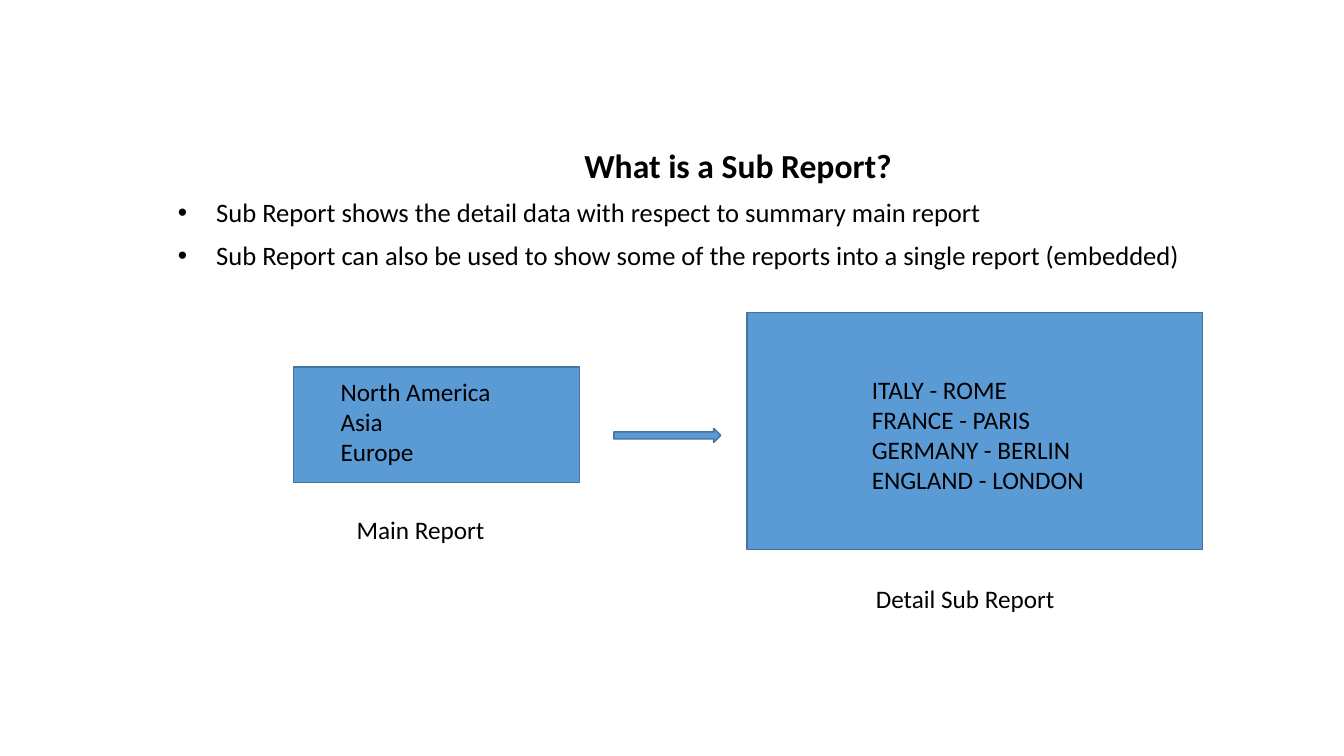
from pptx import Presentation
from pptx.dml.color import RGBColor as RGB
from pptx.enum.shapes import MSO_SHAPE as SHAPE
from pptx.enum.text import PP_ALIGN as ALIGN
from pptx.oxml import parse_xml
from pptx.oxml.ns import nsdecls
from pptx.util import Inches, Pt

COLORS = {"text": "000000", "fill": "5B9BD5", "line": "43739E"}

prs = Presentation()
prs.slide_width, prs.slide_height = Inches(13.33), Inches(7.5)
s = prs.slides.add_slide(prs.slide_layouts[6])
col, row = prs.slide_width / 100, prs.slide_height / 100


def grid(x, y, w, h):
    return int(x * col), int(y * row), int(w * col), int(h * row)


def add_text(tf, text, size=18, bold=False, align=ALIGN.LEFT, spacing=1.0, before=0, bullet=False):
    p = tf.paragraphs[0] if not tf.text else tf.add_paragraph()
    p.alignment, p.line_spacing, p.space_before = align, spacing, Pt(before)
    if bullet:
        pPr = p._p.get_or_add_pPr()
        pPr.set("marL", str(Inches(0.38)))
        pPr.set("indent", str(-Inches(0.38)))
        pPr.append(parse_xml(f'<a:buFont {nsdecls("a")} typeface="Arial"/>'))
        pPr.append(parse_xml(f'<a:buChar {nsdecls("a")} char="•"/>'))
    r = p.add_run()
    r.text = text
    r.font.name, r.font.size, r.font.bold = "Calibri", Pt(size), bold
    r.font.color.rgb = RGB.from_string(COLORS["text"])


tf = s.shapes.add_textbox(*grid(12.5, 19.07, 85.4, 20)).text_frame
tf.word_wrap = True
add_text(tf, "What is a Sub Report? ", size=24, bold=True, align=ALIGN.CENTER, spacing=0.9)
for text in (
    "Sub Report shows the detail data with respect to summary main report",
    "Sub Report can also be used to show some of the reports into a single report (embedded)",
):
    add_text(tf, text, size=19, spacing=0.9, before=10, bullet=True)

for kind, box in (
    (SHAPE.RECTANGLE, (21.83, 48.53, 21.3, 15.33)),
    (SHAPE.RECTANGLE, (55.58, 41.33, 33.9, 31.33)),
    (SHAPE.RIGHT_ARROW, (45.68, 56.67, 7.95, 1.87)),
):
    sp = s.shapes.add_shape(kind, *grid(*box))
    sp.shadow.inherit = False
    sp.fill.solid()
    sp.fill.fore_color.rgb = RGB.from_string(COLORS["fill"])
    sp.line.color.rgb = RGB.from_string(COLORS["line"])
    sp.line.width = Pt(1)

for box, lines in (
    ((25.8, 67.33, 21.3, 5.33), ["Main Report"]),
    ((64.43, 76.53, 21.3, 5.33), ["Detail Sub Report"]),
    ((24.6, 49.07, 15.75, 13.47), ["North America", "Asia", "Europe"]),
    ((64.13, 48.8, 21.08, 17.47),
     ["ITALY - ROME", "FRANCE - PARIS", "GERMANY - BERLIN", "ENGLAND - LONDON"]),
):
    tf = s.shapes.add_textbox(*grid(*box)).text_frame
    tf.word_wrap = True
    for line in lines:
        add_text(tf, line)

prs.save("out.pptx")
